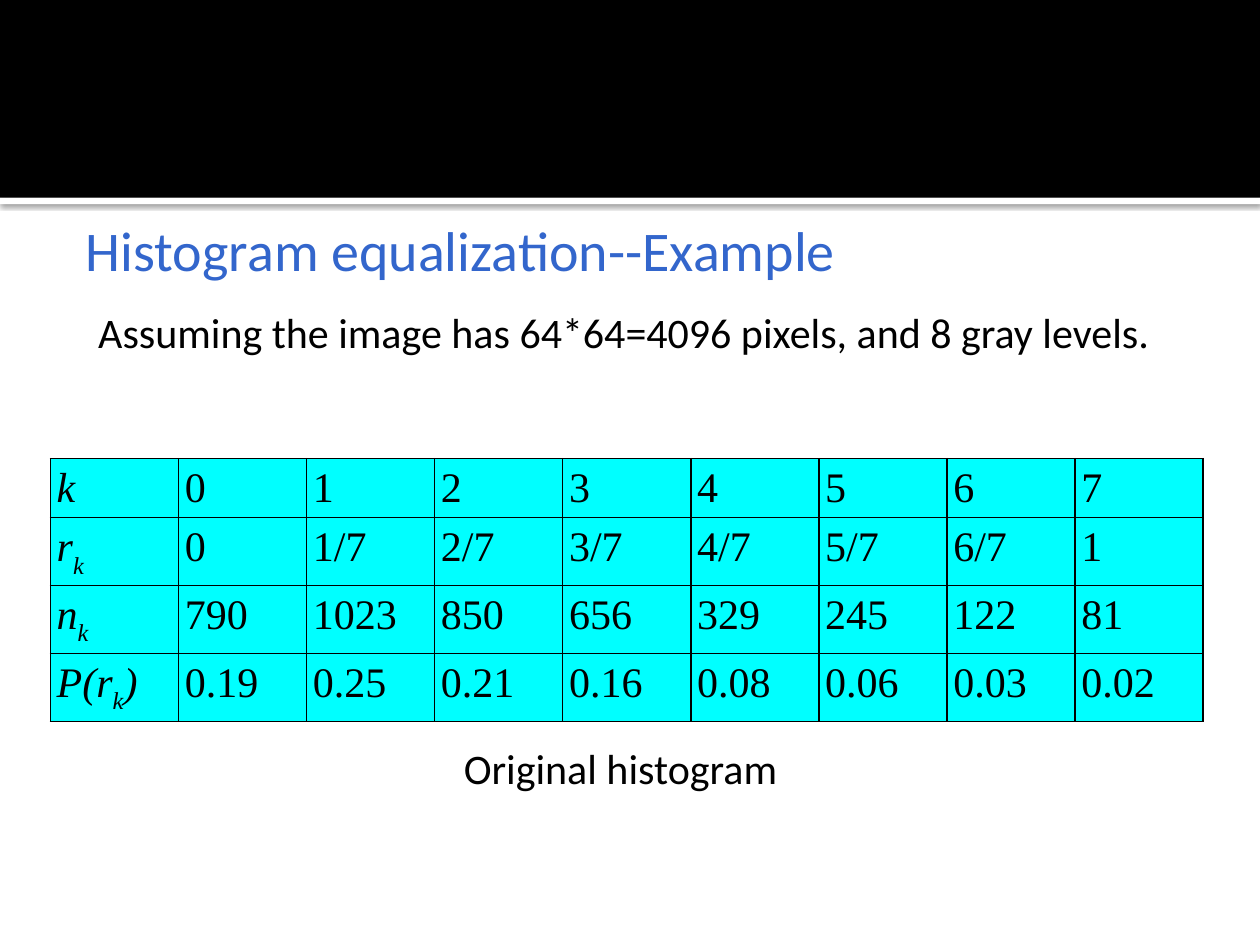
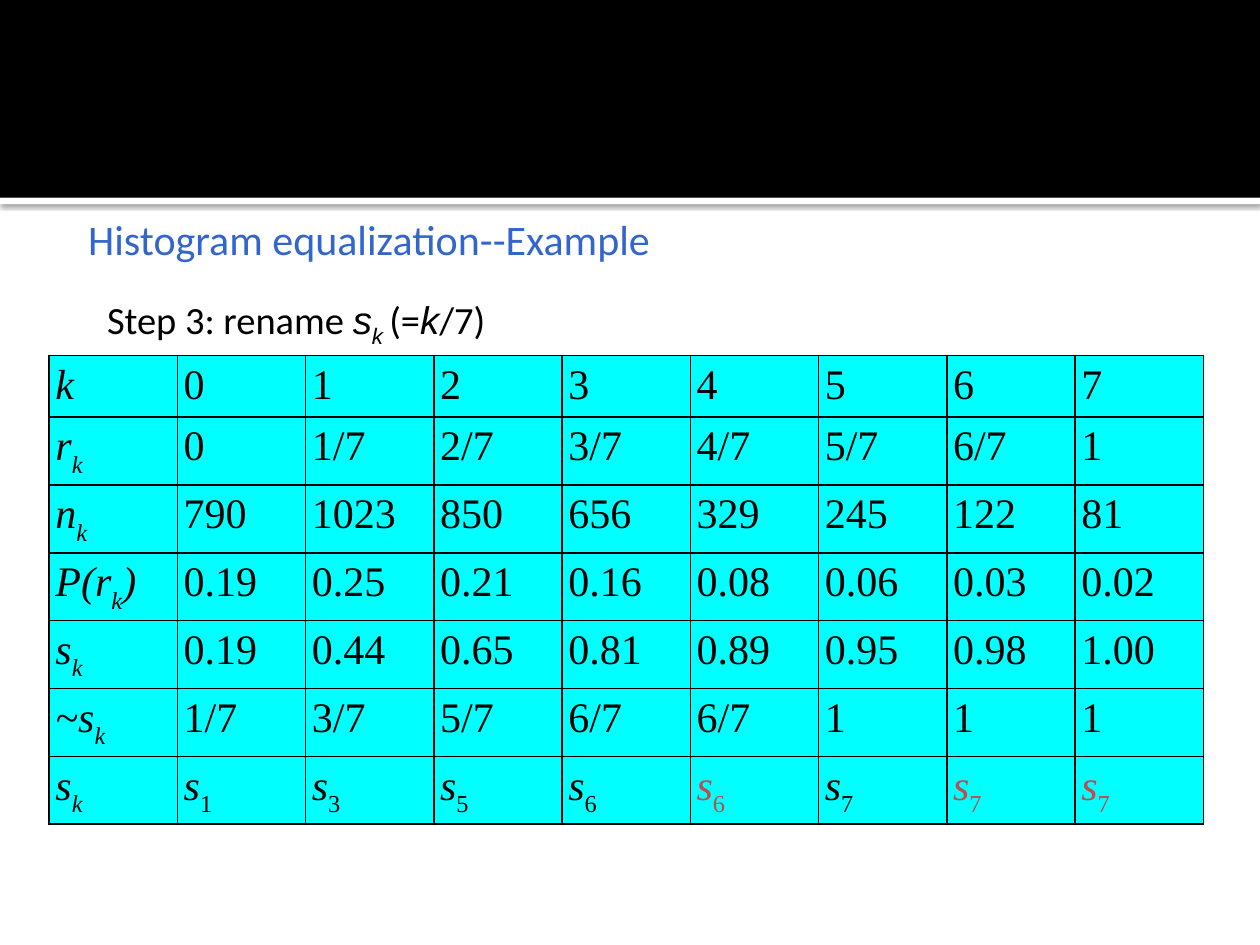
from lxml import etree
from pptx import Presentation
from pptx.dml.color import RGBColor
from pptx.enum.shapes import MSO_SHAPE as Shape
from pptx.enum.text import MSO_ANCHOR as Anchor, MSO_AUTO_SIZE as Fit, PP_ALIGN as Align
from pptx.oxml import parse_xml
from pptx.util import Inches, Pt

BLACK = RGBColor(0x00, 0x00, 0x00)
WHITE = RGBColor(0xFF, 0xFF, 0xFF)
BLUE = RGBColor(0x33, 0x66, 0xCC)
CYAN = RGBColor(0x00, 0xFF, 0xFF)
RED = RGBColor(0xC6, 0x48, 0x47)
NS = "http://schemas.openxmlformats.org/drawingml/2006/main"
UNIT = Inches(0.1)
PAD = Inches(0.05)


def grid(*cells):
    return [round(cell * UNIT) for cell in cells]


def say(par, text, slant=False, drop=0):
    run = par.add_run()
    run.text = text
    run.font.italic = slant
    if drop:
        run._r.get_or_add_rPr().set("baseline", str(-1000 * drop))
    return run


levels = [
    ["k", "0", "1", "2", "3", "4", "5", "6", "7"],
    ["r_k", "0", "1/7", "2/7", "3/7", "4/7", "5/7", "6/7", "1"],
    ["n_k", "790", "1023", "850", "656", "329", "245", "122", "81"],
    ["P(r_k_)", "0.19", "0.25", "0.21", "0.16", "0.08", "0.06", "0.03", "0.02"],
]
steps = [
    ["s_k", "0.19", "0.44", "0.65", "0.81", "0.89", "0.95", "0.98", "1.00"],
    ["~s_k", "1/7", "3/7", "5/7", "6/7", "6/7", "1", "1", "1"],
    ["s_k", "s_1", "s_3", "s_5", "s_6", "s_6", "s_7", "s_7", "s_7"],
]
merged = [(6, 5), (6, 7), (6, 8)]

intro = [("Assuming the image has 64*64=4096 pixels, and 8 gray levels.", False, 0)]
label = [("Original histogram", False, 0)]
rename = [("Step 3: rename ", False, 0), ("s", True, 0), ("k ", True, 25),
          ("(=", False, 0), ("k", True, 0), ("/7)", False, 0)]

pages = [
    dict(head=(5, 17.2, 83.7, 6.5), size=32, lead=0.9,
         notes=[((7.3, 23.8, 86.7, 9.1), 24, Align.LEFT, intro),
                ((5.9, 58.4, 86.7, 5), 24, Align.CENTER, label)],
         spot=(4, 36.4), width=91.5, row=4.5, data=levels),
    dict(head=(5.2, 17.2, 54, 5.9), size=24, lead=0.8,
         notes=[((8, 23, 86, 5.5), 22, Align.LEFT, rename)],
         spot=(3.9, 28.2), width=91.6, row=4.9, data=levels + steps),
]

prs = Presentation()
prs.slide_width, prs.slide_height = grid(100, 75)
layout = prs.slide_layouts[5]
for spare in list(layout.placeholders)[1:]:
    spare.element.getparent().remove(spare.element)

slides = [prs.slides.add_slide(layout) for page in pages]

bands = []
for spot, color in [((0, 0, 100, 15.7), BLACK), ((0, 15.7, 100, 0.5), WHITE)]:
    band = slides[0].shapes.add_shape(Shape.RECTANGLE, *grid(*spot))
    band.shadow.inherit = False
    band.fill.solid()
    band.fill.fore_color.rgb = color
    band.line.fill.background()
    bands.append(band)
glow = bands[1].element.spPr.find(f"{{{NS}}}effectLst")
shade = etree.SubElement(glow, f"{{{NS}}}outerShdw", blurRad=str(Pt(3)),
                         dist=str(Pt(0.8)), dir="5400000", rotWithShape="0")
tint = etree.SubElement(shade, f"{{{NS}}}srgbClr", val=str(BLACK))
etree.SubElement(tint, f"{{{NS}}}alpha", val="60000")
for band in bands:
    layout.shapes.element.insert(2, band.element)

for slide, page in zip(slides, pages):
    title = slide.shapes.title
    title.left, title.top, title.width, title.height = grid(*page["head"])
    par = title.text_frame.paragraphs[0]
    say(par, "Histogram equalization--Example")
    par.alignment = Align.LEFT
    par.line_spacing = page["lead"]
    props = par._p.get_or_add_pPr()
    props.set("marL", str(Inches(0.35)))
    props.set("indent", str(Inches(-0.22)))
    par.font.name = "Calibri"
    par.font.size = Pt(page["size"])
    par.font.color.rgb = BLUE

    for spot, size, align, runs in page["notes"]:
        note = slide.shapes.add_textbox(*grid(*spot))
        par = note.text_frame.paragraphs[0]
        par.alignment = align
        par.font.size = Pt(size)
        par.font.color.rgb = BLACK
        for text, slant, drop in runs:
            run = say(par, text, slant, drop)
            run.font.name = "Arial" if slant else "Calibri"

    for shape in slide.shapes:
        frame = shape.text_frame
        frame.word_wrap = True
        frame.auto_size = Fit.NONE
        frame.vertical_anchor = Anchor.TOP
        frame.margin_left = frame.margin_right = PAD
        frame.margin_top = frame.margin_bottom = PAD

    data = page["data"]
    size = grid(page["width"], page["row"] * len(data))
    table = slide.shapes.add_table(len(data), len(data[0]), *grid(*page["spot"]), *size).table
    table.first_row = table.horz_banding = False
    for r, line in enumerate(data):
        for c, text in enumerate(line):
            cell = table.cell(r, c)
            cell.margin_left = cell.margin_right = PAD
            cell.margin_top = cell.margin_bottom = PAD
            props = cell._tc.get_or_add_tcPr()
            for side in "LRTB":
                props.append(parse_xml(
                    f'<a:ln{side} xmlns:a="{NS}" w="{Pt(1)}"><a:solidFill>'
                    f'<a:srgbClr val="{BLACK}"/></a:solidFill></a:ln{side}>'))
            cell.fill.solid()
            cell.fill.fore_color.rgb = CYAN
            par = cell.text_frame.paragraphs[0]
            par.font.name = "Times New Roman"
            par.font.size = Pt(24)
            par.font.color.rgb = RED if (r, c) in merged else BLACK
            for i, part in enumerate(text.split("_")):
                say(par, part, c == 0 or part.isalpha(), 30 * (i % 2))

prs.save("out.pptx")
